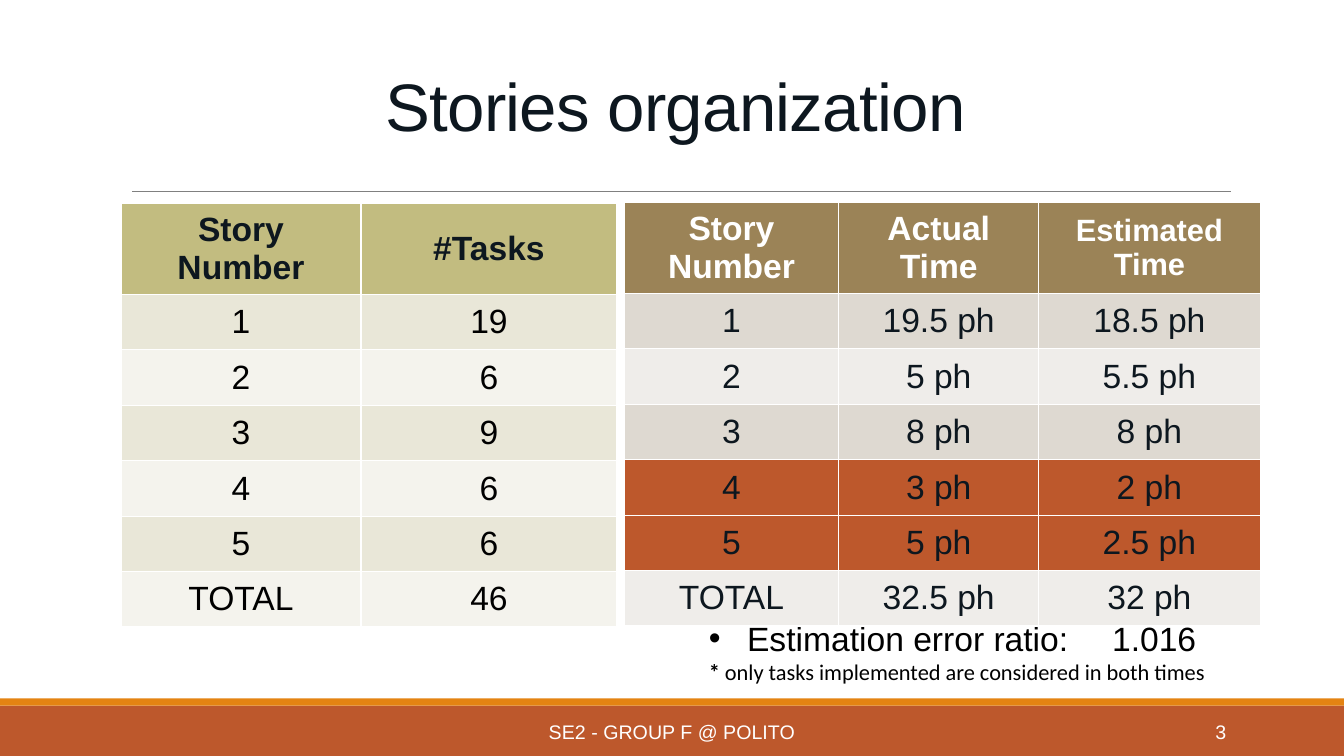
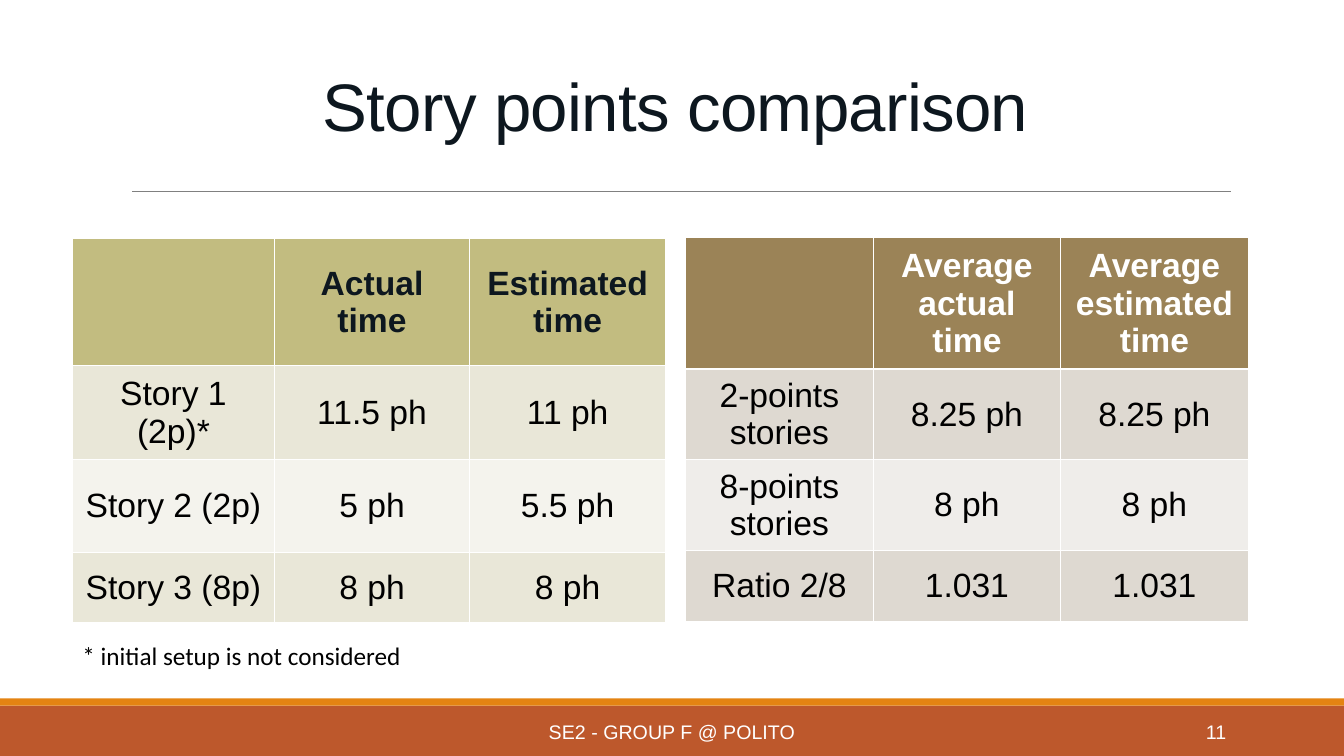
from dataclasses import dataclass

from lxml import etree
from pptx import Presentation
from pptx.dml.color import RGBColor
from pptx.enum.shapes import MSO_CONNECTOR, MSO_SHAPE
from pptx.enum.text import MSO_ANCHOR, MSO_AUTO_SIZE, PP_ALIGN
from pptx.oxml.ns import qn
from pptx.util import Inches, Pt

RECT = MSO_SHAPE.RECTANGLE
LINE = MSO_CONNECTOR.STRAIGHT
TOP, MIDDLE = MSO_ANCHOR.TOP, MSO_ANCHOR.MIDDLE
LEFT_RIGHT, CENTER, RIGHT = PP_ALIGN.JUSTIFY, PP_ALIGN.CENTER, PP_ALIGN.RIGHT
NO_FIT = MSO_AUTO_SIZE.NONE

INK, BLACK, WHITE = "0D171F", "000000", "FFFFFF"
RUST, ORANGE, GRAY = "BD582C", "E48312", "808080"
SANS, NOTE = "Arial", "Calibri"
WIDTH, HEIGHT = 13.33, 7.5
TITLE_ONLY, TITLE_BODY = 5, 1


@dataclass(frozen=True)
class Theme:
    head: str
    ink: str
    odd: str
    even: str


@dataclass(frozen=True)
class Grid:
    left: float
    top: float
    cols: list[float]
    rows: list[float]
    cells: list[list[str]]
    theme: Theme
    ink: str = BLACK
    marked: tuple[int, ...] = ()
    small: tuple[str, ...] = ()


OLIVE = Theme("C2BC80", INK, "E9E7D8", "F4F3ED")
BROWN = Theme("9B8357", WHITE, "DED9D1", "EFEDEA")
STORY_ROWS = [0.84] + [0.55] * 6

TASKS = Grid(1.2, 2.02, [2.38, 2.54], STORY_ROWS, [
    ["Story Number", "#Tasks"],
    ["1", "19"],
    ["2", "6"],
    ["3", "9"],
    ["4", "6"],
    ["5", "6"],
    ["TOTAL", "46"],
], OLIVE)

TIMES = Grid(6.19, 2.01, [2.13, 1.98, 2.2], STORY_ROWS, [
    ["Story Number", "Actual Time", "Estimated Time"],
    ["1", "19.5 ph", "18.5 ph"],
    ["2", "5 ph", "5.5 ph"],
    ["3", "8 ph", "8 ph"],
    ["4", "3 ph", "2 ph"],
    ["5", "5 ph", "2.5 ph"],
    ["TOTAL", "32.5 ph", "32 ph"],
], BROWN, INK, (4, 5), ("Estimated Time",))

POINTS = Grid(0.72, 2.37, [2, 1.94, 1.94], [1.26, 0.93, 0.92, 0.7], [
    ["", "Actual\ntime", "Estimated time"],
    ["Story 1 (2p)*", "11.5 ph", "11 ph"],
    ["Story 2 (2p)", "5 ph", "5.5 ph"],
    ["Story 3 (8p)", "8 ph", "8 ph"],
], OLIVE)

MEANS = Grid(6.8, 2.36, [1.86] * 3, [1.22, 0.84, 0.84, 0.71], [
    ["", "Average actual time", "Average\nestimated time"],
    ["2-points\nstories", "8.25 ph", "8.25 ph"],
    ["8-points\nstories", "8 ph", "8 ph"],
    ["Ratio 2/8", "1.031", "1.031"],
], BROWN)


def paint(target, color: str) -> None:
    """Colour a font or line, or any shape or cell that has a fill."""
    if hasattr(target, "fill") and not hasattr(target, "color"):
        target.fill.solid()
        target = target.fill.fore_color
    else:
        target = target.color
    target.rgb = RGBColor.from_string(color)


def style(para, size: float, color: str, align, face: str = SANS,
          bold: bool = False) -> None:
    para.alignment = align
    for run in para.runs:
        font = run.font
        font.name, font.size, font.bold = face, Pt(size), bold
        font.fill.solid()
        font.fill.fore_color.rgb = RGBColor.from_string(color)


def place(shape, left: float, top: float, width: float, height: float) -> None:
    shape.left, shape.top = Inches(left), Inches(top)
    shape.width, shape.height = Inches(width), Inches(height)


def add_band(slide, top: float, height: float, color: str) -> None:
    band = slide.shapes.add_shape(
        RECT, 0, Inches(top), Inches(WIDTH), Inches(height))
    band.shadow.inherit = False
    paint(band, color)
    band.line.fill.background()


def add_text(slide, text: str, box: tuple[float, float, float, float],
             size: float, color: str, align, face: str = SANS,
             anchor=MIDDLE) -> None:
    frame = slide.shapes.add_textbox(*map(Inches, box)).text_frame
    frame.word_wrap = True
    frame.vertical_anchor = anchor
    frame.text = text
    style(frame.paragraphs[0], size, color, align, face)


def add_grid(slide, grid: Grid) -> None:
    table = slide.shapes.add_table(
        len(grid.rows), len(grid.cols), Inches(grid.left), Inches(grid.top),
        Inches(sum(grid.cols)), Inches(sum(grid.rows))).table
    for col, width in zip(table.columns, grid.cols):
        col.width = Inches(width)
    for r, texts in enumerate(grid.cells):
        table.rows[r].height = Inches(grid.rows[r])
        head = r == 0
        if head:
            fill = grid.theme.head
        elif r in grid.marked:
            fill = RUST
        else:
            fill = grid.theme.odd if r % 2 else grid.theme.even
        for c, text in enumerate(texts):
            cell = table.cell(r, c)
            paint(cell, fill)
            cell.vertical_anchor = MIDDLE
            cell.text_frame.text = text
            for para in cell.text_frame.paragraphs:
                style(para, 22 if text in grid.small else 24,
                      grid.theme.ink if head else grid.ink, CENTER, bold=head)


def add_slide(deck, layout: int, title: str, number: int):
    slide = deck.slides.add_slide(deck.slide_layouts[layout])

    # Bands and rule
    add_band(slide, 7, 0.5, RUST)
    add_band(slide, 6.93, 0.07, ORANGE)
    rule = slide.shapes.add_connector(
        LINE, Inches(1.31), Inches(1.9), Inches(12.21), Inches(1.9))
    paint(rule.line, GRAY)
    rule.line.width = Pt(0.5)
    etree.SubElement(rule._element.spPr, qn("a:effectLst"))

    # Title
    place(slide.shapes.title, 1.2, 0.31, 11, 1.59)
    frame = slide.shapes.title.text_frame
    frame.auto_size = NO_FIT
    frame.vertical_anchor = MIDDLE
    frame.text = title
    para = frame.paragraphs[0]
    para.line_spacing = 0.85
    style(para, 48, INK, CENTER)
    para.runs[0].font._element.set("spc", "-50")

    # Footer and page number
    add_text(slide, "SE2 - GROUP F @ POLITO", (4.03, 7.06, 5.27, 0.4),
             14, WHITE, CENTER)
    add_text(slide, str(number), (10.83, 7.06, 1.43, 0.4), 14, WHITE, RIGHT)
    return slide


def set_bullet(para, mark: str, indent: float) -> None:
    props = para._p.get_or_add_pPr()
    props.set("marL", str(Inches(indent)))
    props.set("indent", str(-Inches(indent)))
    if mark:
        etree.SubElement(props, qn("a:buChar")).set("char", mark)
    else:
        etree.SubElement(props, qn("a:buNone"))


def add_ratio(slide) -> None:
    body = slide.placeholders[1]
    place(body, 6.93, 6.08, 5.55, 0.75)
    frame = body.text_frame
    frame.auto_size = NO_FIT
    frame.vertical_anchor = TOP
    frame.text = "Estimation error ratio:\t1.016\n*"
    ratio, note = frame.paragraphs
    note.add_run().text = " only tasks implemented are considered in both times"
    set_bullet(ratio, "•", 0.38)
    set_bullet(note, "", 0)
    for para in (ratio, note):
        para.space_before = Pt(0)
    style(ratio, 24, BLACK, LEFT_RIGHT)
    style(note, 16, BLACK, LEFT_RIGHT, NOTE)
    note.runs[0].font.bold = True


def main() -> None:
    deck = Presentation()
    deck.slide_width, deck.slide_height = Inches(WIDTH), Inches(HEIGHT)

    # Stories
    slide = add_slide(deck, TITLE_BODY, "Stories organization", 3)
    add_grid(slide, TASKS)
    add_grid(slide, TIMES)
    add_ratio(slide)

    # Story points
    slide = add_slide(deck, TITLE_ONLY, "Story points comparison", 11)
    add_grid(slide, POINTS)
    add_grid(slide, MEANS)
    add_text(slide, "* initial setup is not considered",
             (0.72, 6.3, 4.04, 0.4), 18, BLACK, LEFT_RIGHT, NOTE, TOP)

    deck.save("out.pptx")


if __name__ == "__main__":
    main()
